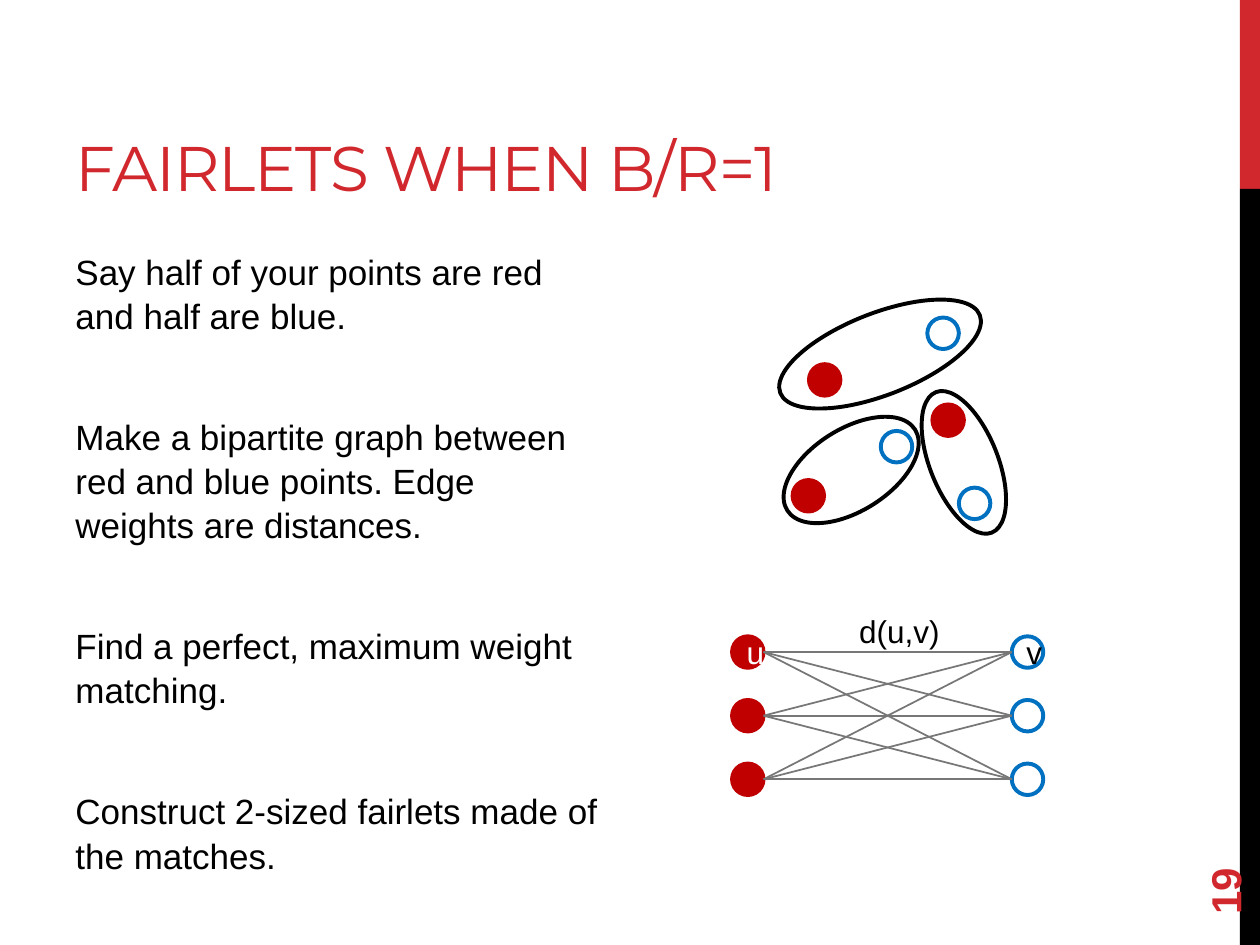
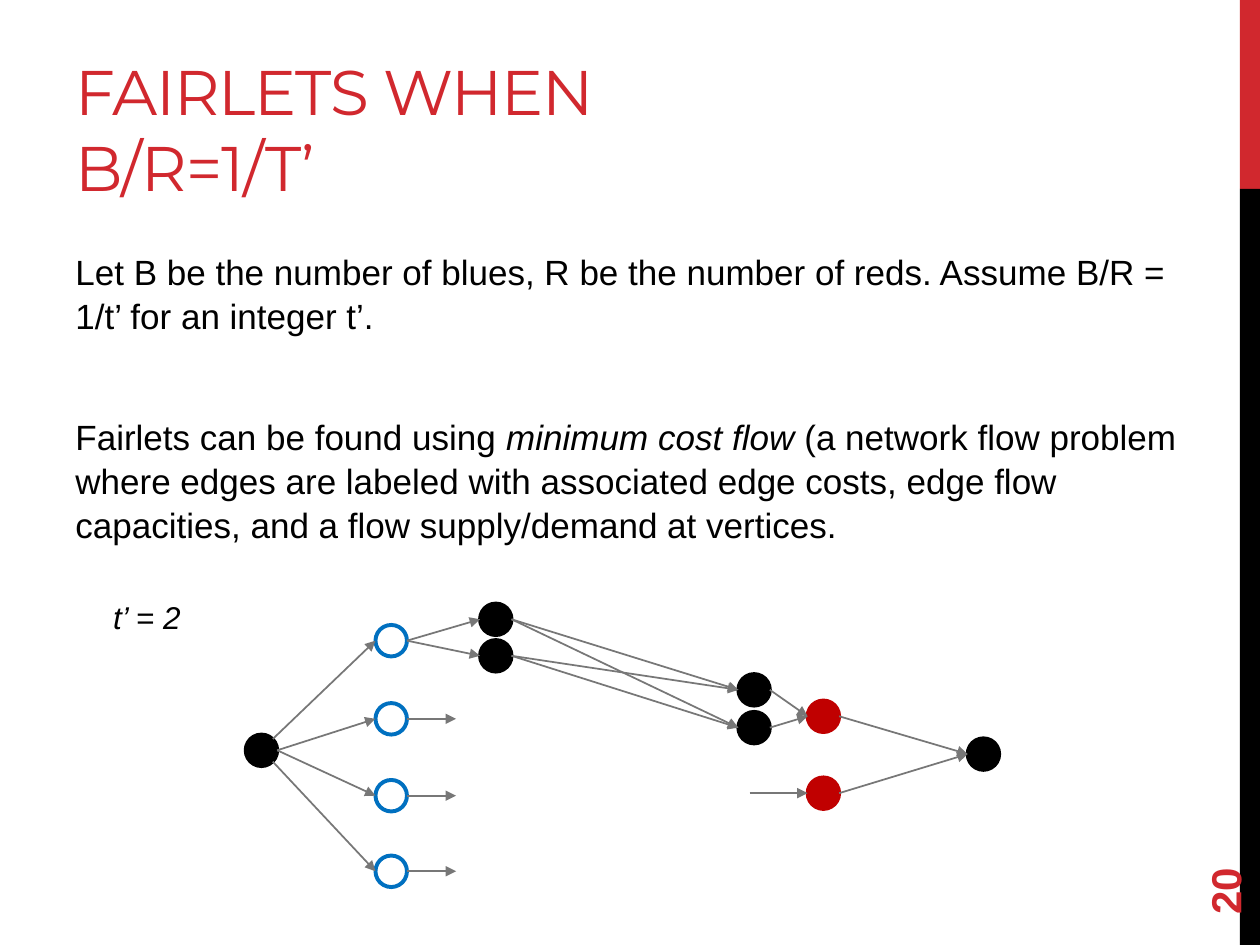
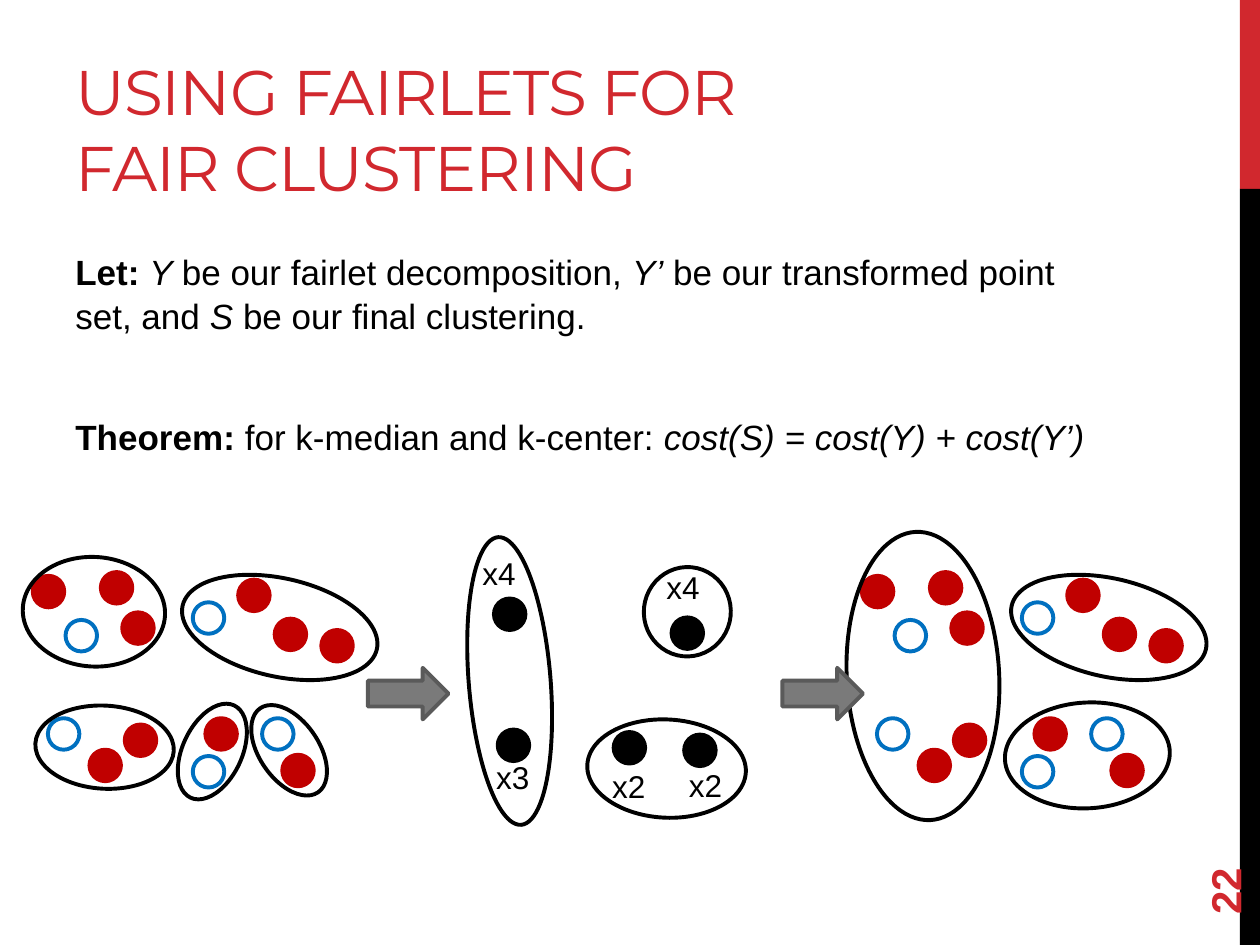
import dataclasses
import itertools

import lxml.etree
import pptx
import pptx.dml.color
import pptx.enum.shapes
import pptx.enum.text
import pptx.oxml.ns
import pptx.util

Inches = pptx.util.Inches
Pt = pptx.util.Pt
SHAPES = pptx.enum.shapes.MSO_SHAPE
ANCHORS = pptx.enum.text.MSO_ANCHOR

COLORS = {
    "accent": "D1282E",
    "black": "000000",
    "white": "FFFFFF",
    "red": "C00000",
    "blue": "0070C0",
    "edge": "777777",
    "arrow": "7A7A7A",
    "arrow_line": "5A5A5A",
}
NODE_STYLES = {
    "red": ("red", "red", "white"),
    "blue": ("white", "blue", "black"),
    "black": ("black", "black", "white"),
}
NODE_SIZE = 0.25


@dataclasses.dataclass
class Box:
    """A region of a slide, in inches."""

    slide: object
    left: float
    top: float
    width: float
    height: float

    def place(self, x, y, width, height):
        """Turn an area relative to the box into slide lengths."""
        return [Inches(value) for value in (self.left + x, self.top + y, width, height)]

    def point(self, x, y):
        """Turn a point relative to the box into slide lengths."""
        return Inches(self.left + x), Inches(self.top + y)


def color(name):
    """Look up a palette colour."""
    return pptx.dml.color.RGBColor.from_string(COLORS[name])


def set_font(font, size, color_name="black", name="Arial"):
    """Set the face, size and colour of a font."""
    font.name = name
    font.size = Pt(size)
    font.color.rgb = color(color_name)


def add_preset(box, kind, area, fill=None, line=None, rotation=0):
    """Add a preset shape with an optional fill and outline."""
    shape = box.slide.shapes.add_shape(kind, *box.place(*area))
    shape.shadow.inherit = False
    shape.rotation = rotation
    if fill:
        shape.fill.solid()
        shape.fill.fore_color.rgb = color(fill)
    else:
        shape.fill.background()
    if line:
        shape.line.color.rgb = color(line)
        shape.line.width = Pt(2.25)
    else:
        shape.line.fill.background()
    return shape


def add_text(box, area, anchor=ANCHORS.TOP):
    """Add a wrapping text box and return its shape and first paragraph."""
    shape = box.slide.shapes.add_textbox(*box.place(*area))
    shape.text_frame.word_wrap = True
    shape.text_frame.vertical_anchor = anchor
    return shape, shape.text_frame.paragraphs[0]


def add_label(box, text, x, y, width=0.64, italic=False):
    """Add a short diagram label."""
    shape, paragraph = add_text(box, (x, y, width, 0.4))
    shape.text_frame.auto_size = pptx.enum.text.MSO_AUTO_SIZE.SHAPE_TO_FIT_TEXT
    paragraph.text = text
    set_font(paragraph.font, 18)
    paragraph.font.italic = italic


def add_node(box, style, x, y, text=""):
    """Add a round graph node."""
    fill, line, text_color = NODE_STYLES[style]
    node = add_preset(box, SHAPES.OVAL, (x, y, NODE_SIZE, NODE_SIZE), fill, line)
    if text:
        paragraph = node.text_frame.paragraphs[0]
        paragraph.text = text
        paragraph.alignment = pptx.enum.text.PP_ALIGN.CENTER
        set_font(paragraph.font, 18, text_color)
    return node


def add_outline(box, area, rotation):
    """Add a tilted ellipse around a group of nodes."""
    add_preset(box, SHAPES.OVAL, area, line="black", rotation=rotation)


def on_node(node, x_share, y_share=0.5):
    """Find a point at the given shares of a node's width and height."""
    return (node.left + int(node.width * x_share), node.top + int(node.height * y_share))


def add_edge(box, start, end, arrow=False):
    """Join two points with a thin line or arrow."""
    edge = box.slide.shapes.add_connector(
        pptx.enum.shapes.MSO_CONNECTOR.STRAIGHT, *start, *end)
    edge.line.color.rgb = color("edge")
    edge.line.width = Pt(1)
    properties = edge._element.spPr
    lxml.etree.SubElement(properties, pptx.oxml.ns.qn("a:effectLst"))
    if arrow:
        lxml.etree.SubElement(
            properties.find(pptx.oxml.ns.qn("a:ln")),
            pptx.oxml.ns.qn("a:tailEnd"), type="triangle")


def add_arrows(box, starts, ends):
    """Draw an arrow from every start node to every end node."""
    for start, end in itertools.product(starts, ends):
        add_edge(box, on_node(start, 1), on_node(end, 0), arrow=True)


def add_frame(presentation, title, number):
    """Start a slide with its side bands, title and page number."""
    slide = presentation.slides.add_slide(presentation.slide_layouts[6])
    page = Box(slide, 0, 0, 10, 7.5)
    add_preset(page, SHAPES.RECTANGLE, (9.84, 0, 0.16, 1.5), "accent")
    add_preset(page, SHAPES.RECTANGLE, (9.84, 1.5, 0.16, 6), "black")
    _, paragraph = add_text(page, (0.5, 0.17, 6.33, 1.5), ANCHORS.BOTTOM)
    run = paragraph.add_run()
    run.text = title
    set_font(run.font, 36, "accent", "Montserrat")
    run._r.get_or_add_rPr().set("spc", "-60")
    shape, paragraph = add_text(page, (9, 6.44, 1.44, 0.4), ANCHORS.MIDDLE)
    shape.rotation = 270
    paragraph.text = str(number)
    set_font(paragraph.font, 24, "accent")
    paragraph.font.bold = True
    return slide


def add_body(box, paragraphs):
    """Fill a box with paragraphs, each a list of (text, style) runs."""
    shape, paragraph = add_text(box, (0, 0, box.width, box.height))
    for index, runs in enumerate(paragraphs):
        if index:
            paragraph = shape.text_frame.add_paragraph()
        paragraph.line_spacing = 1.05
        paragraph.space_after = Pt(44)
        set_font(paragraph.font, 20)
        for text, style in runs:
            run = paragraph.add_run()
            run.text = text
            if style:
                run.font.bold = style == "bold"
                run.font.italic = style == "italic"


def draw_matched_pairs(box):
    """Draw three red and blue pairs, each inside an ellipse."""
    for style, x, y in (
        ("red", 0.42, 0.89), ("blue", 1.36, 0.52),
        ("red", 1.4, 1.21), ("blue", 1.61, 1.87),
        ("red", 0.29, 1.81), ("blue", 0.99, 1.42),
    ):
        add_node(box, style, x, y)
    add_outline(box, (0.43, 1.13, 0.65, 1.2), 237.7)
    add_outline(box, (1.38, 1.07, 0.54, 1.2), 338.3)
    add_outline(box, (0.66, -0.04, 0.65, 1.7), 248.7)


def draw_bipartite_graph(box):
    """Draw a complete graph between three red and three blue nodes."""
    reds, blues = [], []
    for row in range(3):
        y = 0.25 + 0.505 * row
        reds.append(add_node(box, "red", 0.01, y, "" if row else "u"))
        blues.append(add_node(box, "blue", 2.23, y, "" if row else "v"))
    for red, blue in itertools.product(reds, blues):
        add_edge(box, on_node(red, 1), on_node(blue, 0))
    add_label(box, "d(u,v)", 0.92, 0.01, 1.24)


def draw_flow_network(box):
    """Draw the flow network from source to sink."""
    source = add_node(box, "black", 1.15, 1.13)
    blues = [add_node(box, "blue", 2.18, y) for y in (0.26, 0.88, 1.49, 2.09)]
    blue_copies = [add_node(box, "black", 3.01, y) for y in (0.09, 0.38)]
    red_copies = [add_node(box, "black", 5.06, y) for y in (0.65, 0.95)]
    reds = [add_node(box, "red", 5.61, y) for y in (0.86, 1.47)]
    sink = add_node(box, "black", 6.88, 1.16)
    exits = ((0.86, 0.14), (1, 0.5), (1, 0.5), (0.86, 0.86))
    for shares, blue in zip(exits, blues):
        add_edge(box, on_node(source, *shares), on_node(blue, 0), arrow=True)
    for blue in blues[1:]:
        start = on_node(blue, 1)
        add_edge(box, start, (start[0] + Inches(0.39), start[1]), arrow=True)
    end = on_node(reds[1], 0)
    add_edge(box, (end[0] - Inches(0.46), end[1]), end, arrow=True)
    add_arrows(box, blues[:1], blue_copies)
    add_arrows(box, blue_copies, red_copies)
    add_arrows(box, red_copies, reds[:1])
    add_arrows(box, reds, [sink])
    add_label(box, "t’ = 2", 0, 0, 0.78, italic=True)


def draw_clustered_points(box, outlines):
    """Draw the coloured points and the given (area, rotation) outlines."""
    for style, x, y in (
        ("red", 0.06, 0.37), ("blue", 0.32, 0.72), ("red", 0.6, 0.34), ("red", 0.77, 0.66),
        ("blue", 1.33, 0.58), ("red", 1.69, 0.4), ("red", 1.98, 0.71), ("red", 2.35, 0.8),
        ("blue", 0.18, 1.5), ("red", 0.51, 1.75), ("red", 0.79, 1.55),
        ("blue", 1.33, 1.8), ("red", 1.43, 1.5), ("blue", 1.88, 1.5), ("red", 2.04, 1.79),
    ):
        add_node(box, style, x, y)
    add_outline(box, (1.63, -0.01, 0.78, 1.58), 102.6)
    for area, rotation in outlines:
        add_outline(box, area, rotation)


def draw_weighted_centers(box):
    """Draw the fairlet centers with their weights and clusters."""
    for x, y, weight, label_x, label_y in (
        (0.22, 0.55, "x4", 0.03, 0.15),
        (1.63, 0.7, "x4", 1.49, 0.26),
        (0.25, 1.59, "x3", 0.14, 1.77),
        (1.17, 1.61, "x2", 1.06, 1.84),
        (1.73, 1.63, "x2", 1.67, 1.83),
    ):
        add_node(box, "black", x, y)
        add_label(box, weight, label_x, label_y)
    add_outline(box, (1.2, 1.27, 0.78, 1.26), 92.6)
    add_outline(box, (0.02, 0.06, 0.65, 2.29), 175.4)
    add_outline(box, (1.41, 0.3, 0.69, 0.71), 185.7)


def build_matching_slide(presentation):
    """Build the slide on equal numbers of red and blue points."""
    slide = add_frame(presentation, "FAIRLETS WHEN B/R=1", 19)
    add_body(Box(slide, 0.5, 1.92, 4.35, 4.78), [
        [("Say half of your points are red and half are blue.", "")],
        [("Make a bipartite graph between red and blue points. "
          "Edge weights are distances.", "")],
        [("Find a perfect, maximum weight matching.", "")],
        [("Construct 2-sized fairlets made of the matches.", "")],
    ])
    draw_bipartite_graph(Box(slide, 5.8, 4.8, 2.5, 1.6))
    draw_matched_pairs(Box(slide, 6, 2, 2.1, 2.3))


def build_flow_slide(presentation):
    """Build the slide on minimum cost flow."""
    slide = add_frame(presentation, "FAIRLETS WHEN B/R=1/T’", 20)
    add_body(Box(slide, 0.5, 1.92, 9.02, 2.65), [
        [("Let B be the number of blues, R be the number of reds. "
          "Assume B/R = 1/t’ for an integer t’.", "")],
        [("Fairlets can be found using ", ""),
         ("minimum cost flow ", "italic"),
         ("(a network flow problem where edges are labeled with associated edge costs, "
          "edge flow capacities, and a flow supply/demand at vertices.", "")],
    ])
    draw_flow_network(Box(slide, 0.8, 4.7, 7.2, 2.4))


def build_clustering_slide(presentation):
    """Build the slide that turns fairlets into a fair clustering."""
    slide = add_frame(presentation, "USING FAIRLETS FOR FAIR CLUSTERING", 22)
    add_body(Box(slide, 0.5, 1.92, 8.33, 1.7), [
        [("Let: ", "bold"), ("Y ", "italic"), ("be our fairlet decomposition, ", ""),
         ("Y’", "italic"), (" be our transformed point set, and ", ""),
         ("S ", "italic"), ("be our final clustering.", "")],
        [("Theorem:", "bold"), (" for k-median and k-center: ", ""),
         ("cost(S) = cost(Y) + cost(Y’)", "italic")],
    ])
    draw_clustered_points(Box(slide, 0.2, 4.2, 2.8, 2.3), [
        ((0.11, 0.09, 0.87, 1.13), 93.2),
        ((0.3, 1.18, 0.66, 1.1), 93.1),
        ((1.25, 1.36, 0.47, 0.81), 25.3),
        ((1.86, 1.35, 0.47, 0.81), 325.4),
    ])
    draw_weighted_centers(Box(slide, 3.7, 4.2, 2.3, 2.4))
    draw_clustered_points(Box(slide, 6.78, 4.2, 2.8, 2.3), [
        ((-0.06, 0.02, 1.21, 2.29), 177.1),
        ((1.43, 1.14, 0.84, 1.31), 266.9),
    ])
    steps = Box(slide, 2.92, 5.3, 3.93, 0.41)
    for x in (0, 3.29):
        add_preset(steps, SHAPES.RIGHT_ARROW, (x, 0, 0.64, 0.41), "arrow", "arrow_line")


def main():
    """Build and save the presentation."""
    presentation = pptx.Presentation()
    presentation.slide_width = Inches(10)
    presentation.slide_height = Inches(7.5)
    build_matching_slide(presentation)
    build_flow_slide(presentation)
    build_clustering_slide(presentation)
    presentation.save("out.pptx")


if __name__ == "__main__":
    main()
